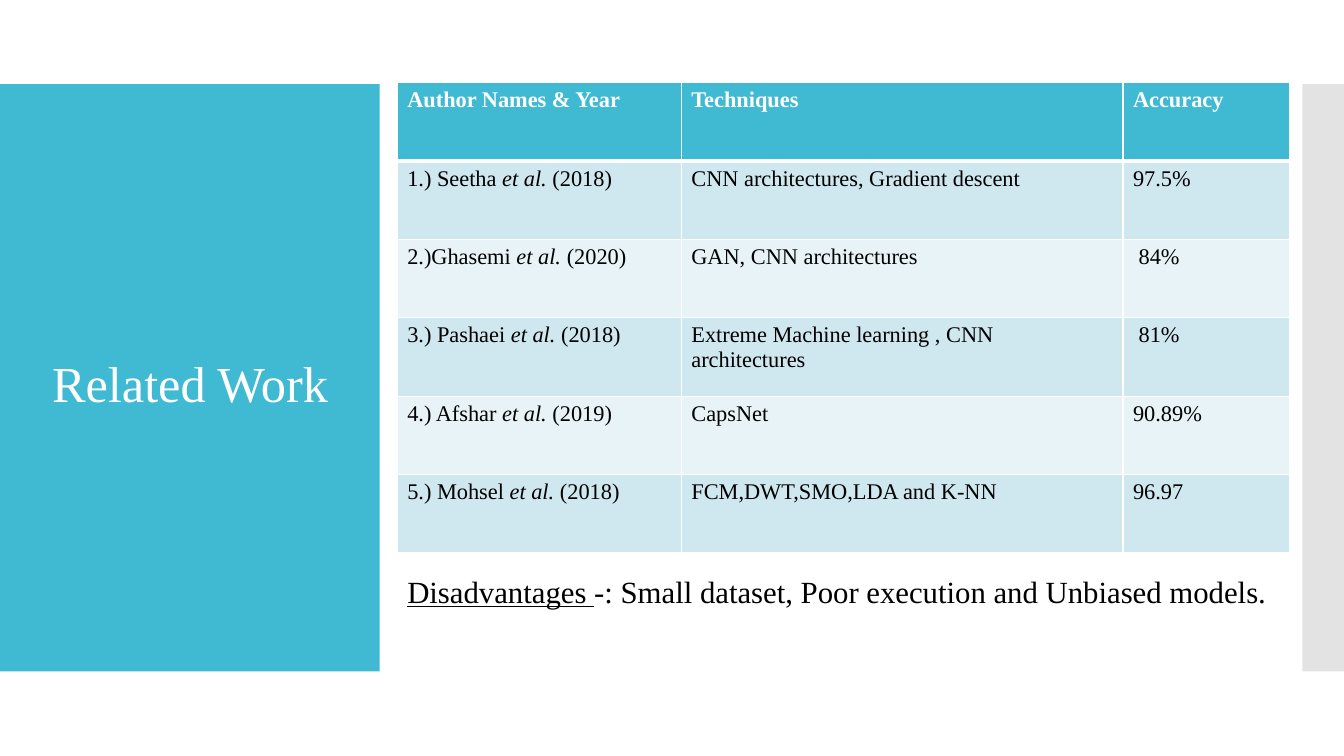
import pptx
import pptx.util
import pptx.dml.color
import pptx.enum.shapes
import pptx.enum.text
import pptx.oxml
import pptx.oxml.ns
import lxml.etree

Cm = pptx.util.Cm
Pt = pptx.util.Pt
RGB = pptx.dml.color.RGBColor
ALIGN = pptx.enum.text.PP_ALIGN
ANCHOR = pptx.enum.text.MSO_ANCHOR
FONT = "Times New Roman"
TEAL = RGB(0x40, 0xBA, 0xD2)
GRAY = RGB(0xC8, 0xC8, 0xC8)
WHITE = RGB(0xFF, 0xFF, 0xFF)
BLACK = RGB(0, 0, 0)
BANDS = [RGB(0xCF, 0xE7, 0xEE), RGB(0xE8, 0xF3, 0xF7)]

HEAD = ["Author Names & Year", "Techniques", "Accuracy "]
WORKS = [
    (["1.) Seetha ", "et al. ", "(2018)"], "CNN architectures, Gradient descent ", "97.5%"),
    (["2.)Ghasemi ", "et al. ", "(2020)"], "GAN, CNN architectures", " 84%"),
    (["3.) Pashaei ", "et al.", " (2018)"], "Extreme Machine learning , CNN architectures", " 81%"),
    (["4.) Afshar ", "et al. ", "(2019)"], "CapsNet ", "90.89%"),
    (["5.) Mohsel ", "et al. ", "(2018)"], "FCM,DWT,SMO,LDA and K-NN", "96.97"),
]


def node(parent, tag, **attrs):
    item = lxml.etree.SubElement(parent, pptx.oxml.ns.qn(tag))
    for key, value in attrs.items():
        item.set(key, str(value))
    return item


def write(text, para, size=16, color=BLACK, bold=False, italic=False, under=False):
    run = para.add_run()
    run.text = text
    font = run.font
    font.name, font.size, font.color.rgb = FONT, Pt(size), color
    font.bold, font.italic, font.underline = bold, italic, under


def place(shape, box):
    shape.left, shape.top, shape.width, shape.height = map(Cm, box)


def panel(slide, box, color, alpha=None):
    kind = pptx.enum.shapes.MSO_SHAPE.RECTANGLE
    shape = slide.shapes.add_shape(kind, *map(Cm, box))
    shape.shadow.inherit = False
    shape.fill.solid()
    shape.fill.fore_color.rgb = color
    shape.line.fill.background()
    if alpha:
        tint = shape._element.spPr.find(".//" + pptx.oxml.ns.qn("a:srgbClr"))
        node(tint, "a:alpha", val=alpha * 1000)
    slide.shapes._spTree.insert(2, shape._element)


def heading(slide, box):
    title = slide.shapes.title
    place(title, box)
    title.fill.solid()
    title.fill.fore_color.rgb = TEAL
    title.line.color.rgb = TEAL
    title.line.width = Pt(0.85)
    frame = title.text_frame
    frame.word_wrap = True
    frame.vertical_anchor = ANCHOR.MIDDLE
    para = frame.paragraphs[0]
    para.alignment = ALIGN.CENTER
    write("Related Work", para, size=36, color=WHITE)


def remark(slide, box):
    body = slide.placeholders[1]
    place(body, box)
    frame = body.text_frame
    frame.word_wrap = True
    frame.auto_size = pptx.enum.text.MSO_AUTO_SIZE.NONE
    frame.vertical_anchor = ANCHOR.TOP
    para = frame.paragraphs[0]
    para.line_spacing, para.space_before = 0.9, Pt(12)
    props = para._p.get_or_add_pPr()
    props.set("marL", "0")
    props.set("indent", "0")
    node(props, "a:buNone")
    write("Disadvantages ", para, size=22, under=True)
    write("-: Small dataset, Poor execution and Unbiased models.", para, size=22)


def paint(cell, color, base):
    props = cell._tc.get_or_add_tcPr()
    for side in "LRTB":
        width = base if side == "B" else 1
        line = node(props, "a:ln" + side, w=Pt(width))
        node(node(line, "a:solidFill"), "a:srgbClr", val=WHITE)
    cell.fill.solid()
    cell.fill.fore_color.rgb = color


def grid(slide, box, widths):
    rows = [HEAD, *WORKS]
    table = slide.shapes.add_table(len(rows), len(HEAD), *map(Cm, box)).table
    for col, width in zip(table.columns, widths):
        col.width = Cm(width)
    for r, row in enumerate(rows):
        table.rows[r].height = Cm(box[3] / len(rows))
        top = r == 0
        for c, text in enumerate(row):
            cell = table.cell(r, c)
            paint(cell, TEAL if top else BANDS[(r - 1) % 2], 3 if top else 1)
            parts = [text] if isinstance(text, str) else text
            for n, part in enumerate(parts):
                write(part, cell.text_frame.paragraphs[0], bold=top,
                      color=WHITE if top else BLACK, italic=n == 1)


deck = pptx.Presentation()
deck.slide_width, deck.slide_height = Cm(33.87), Cm(19.05)
slide = deck.slides.add_slide(deck.slide_layouts[1])
panel(slide, (32.82, 2.12, 1.05, 14.8), GRAY, alpha=50)
panel(slide, (0, 2.12, 9.57, 14.8), TEAL)
remark(slide, (10.01, 14.4, 22.4, 2.54))
heading(slide, (0.58, 6.6, 8.43, 6.05))
grid(slide, (10.01, 2.08, 22.5, 11.86), (7.16, 11.13, 4.21))
deck.save("out.pptx")
